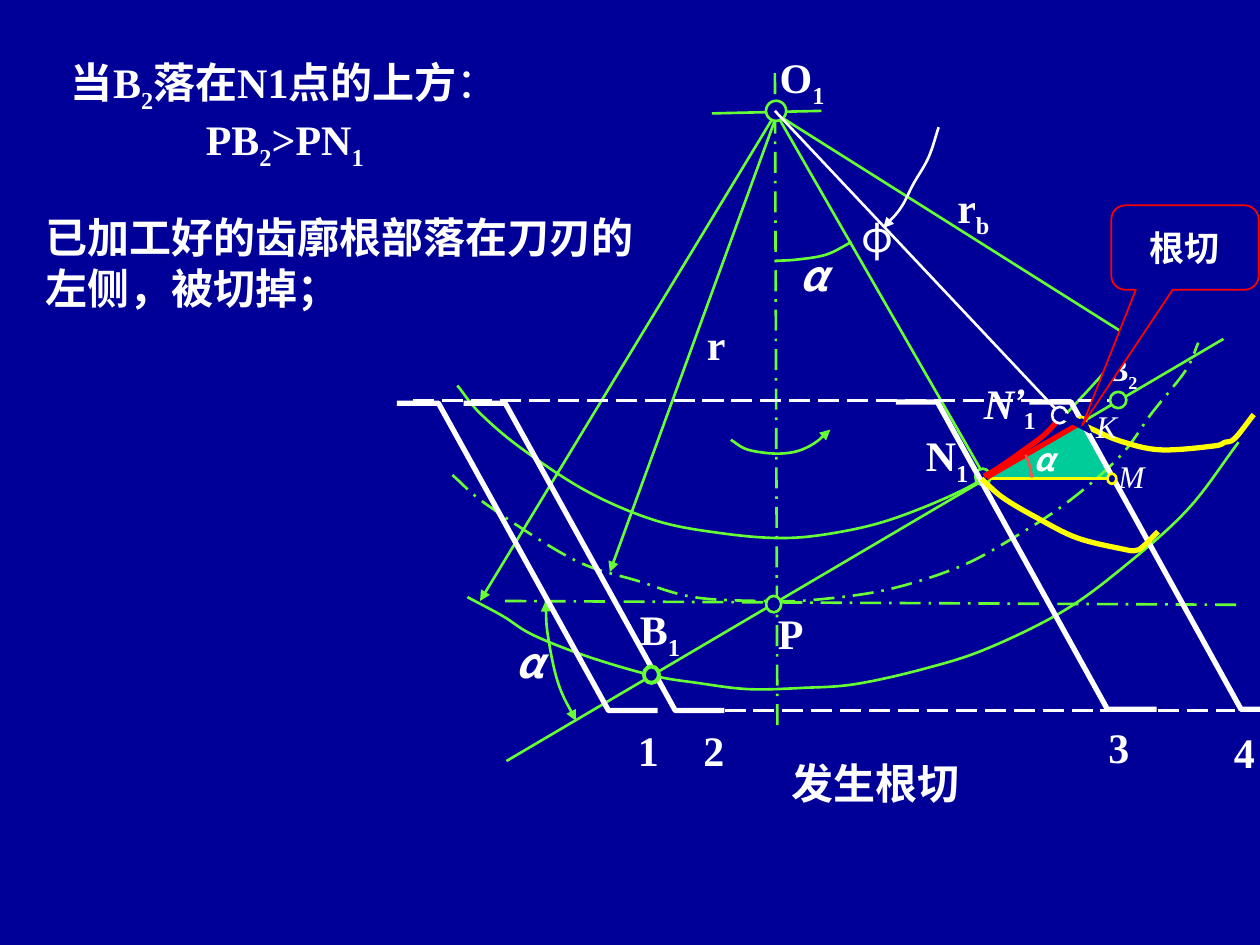
from lxml import etree
from pptx import Presentation
from pptx import util as u
from pptx.dml.color import RGBColor
from pptx.enum import dml, shapes, text
from pptx.oxml.ns import qn

COLORS = {"navy": "000099", "green": "66FF33", "white": "FFFFFF", "yellow": "FFFF00",
          "red": "FF0000", "coral": "FF5050", "teal": "00CC99"}
ROMAN, CJK = "Times New Roman", "Noto Sans CJK SC"
DASH, DASH_DOT = dml.MSO_LINE.LONG_DASH, dml.MSO_LINE.LONG_DASH_DOT


def cm(inches):
    return u.Cm(inches * 2.54)


def rgb(name):
    return RGBColor.from_string(COLORS[name])


class Drawing:
    def __init__(self, prs):
        self.slide = prs.slides.add_slide(prs.slide_layouts[6])
        self.shapes = self.slide.shapes
        self.slide.background.fill.solid()
        self.slide.background.fill.fore_color.rgb = rgb("navy")

    def stroke(self, sp, color, width, dash=None, ends=()):
        sp.line.color.rgb = rgb(color)
        sp.line.width = u.Pt(width)
        if dash:
            sp.line.dash_style = dash
        ln = sp._element.spPr.find(qn("a:ln"))
        for end in ends:
            etree.SubElement(ln, qn(f"a:{end}End")).set("type", "triangle")

    def paint(self, sp, fill):
        sp.shadow.inherit = False
        if fill:
            sp.fill.solid()
            sp.fill.fore_color.rgb = rgb(fill)
        else:
            sp.fill.background()

    def line(self, start, end, color="green", width=1.5, dash=None, ends=()):
        cx = self.shapes.add_connector(shapes.MSO_CONNECTOR.STRAIGHT,
                                       *(cm(v) for v in start + end))
        self.stroke(cx, color, width, dash, ends)
        etree.SubElement(cx._element.spPr, qn("a:effectLst"))

    def outline(self, points, color=None, width=1.5, fill=None, close=False, dash=None, ends=()):
        pts = [(cm(x), cm(y)) for x, y in points]
        fb = self.shapes.build_freeform(*pts[0])
        fb.add_line_segments(pts[1:], close=close)
        sp = fb.convert_to_shape()
        self.paint(sp, fill)
        if color:
            self.stroke(sp, color, width, dash, ends)
        else:
            sp.line.fill.background()
        return sp

    def curve(self, points, color="green", width=1.5, dash=None, ends=()):
        sp = self.outline(points, color, width, dash=dash, ends=ends)
        pts = [(cm(x) - sp.left, cm(y) - sp.top) for x, y in points]
        padded = [pts[0]] + pts + [pts[-1]]
        tangents = [tuple((b - a) / 6 for a, b in zip(before, after))
                    for before, after in zip(padded, padded[2:])]
        tangents[0] = tuple((b - a) / 3 for a, b in zip(pts[0], pts[1]))
        tangents[-1] = tuple((b - a) / 3 for a, b in zip(pts[-2], pts[-1]))
        for i, segment in enumerate(list(sp._element.iter(qn("a:lnTo")))):
            start, end = pts[i], pts[i + 1]
            leave = [a + t for a, t in zip(start, tangents[i])]
            arrive = [a - t for a, t in zip(end, tangents[i + 1])]
            bezier = etree.Element(qn("a:cubicBezTo"))
            for x, y in (leave, arrive, end):
                etree.SubElement(bezier, qn("a:pt"), x=str(round(x)), y=str(round(y)))
            segment.getparent().replace(segment, bezier)

    def blade(self, x, y):
        self.outline([(x, y), (x + 0.33, y), (x + 1.68, y + 2.44), (x + 2.07, y + 2.44)],
                     "white", 3)

    def circle(self, x, y, w, h, color="green", width=1.5):
        sp = self.shapes.add_shape(shapes.MSO_SHAPE.OVAL, cm(x), cm(y), cm(w), cm(h))
        self.paint(sp, "navy")
        self.stroke(sp, color, width)

    def set_text(self, tf, content, size, bold, italic, font, center):
        p = tf.paragraphs[0]
        p.alignment = text.PP_ALIGN.CENTER if center else text.PP_ALIGN.LEFT
        for i, part in enumerate(content.split("_")):
            if not part:
                continue
            r = p.add_run()
            r.text = part
            r.font.name, r.font.size = font, u.Pt(size)
            r.font.bold, r.font.italic = bold, italic
            r.font.color.rgb = rgb("white")
            rpr = r._r.get_or_add_rPr()
            etree.SubElement(rpr, qn("a:ea")).set("typeface", CJK)
            if i % 2:
                rpr.set("baseline", "-25000")
        return p

    def label(self, x, y, w, h, content, size=24, bold=True, italic=False, font=ROMAN,
              center=True, wrap=True, anchor=text.MSO_ANCHOR.MIDDLE):
        tf = self.shapes.add_textbox(cm(x), cm(y), cm(w), cm(h)).text_frame
        tf.word_wrap = wrap
        tf.vertical_anchor = anchor
        return self.set_text(tf, content, size, bold, italic, font, center)

    def callout(self, x, y, w, h, content, adjustments):
        sp = self.shapes.add_shape(shapes.MSO_SHAPE.ROUNDED_RECTANGULAR_CALLOUT,
                                   cm(x), cm(y), cm(w), cm(h))
        for i, value in enumerate(adjustments):
            sp.adjustments[i] = value
        self.paint(sp, "navy")
        self.stroke(sp, "red", 1)
        sp.text_frame.vertical_anchor = text.MSO_ANCHOR.MIDDLE
        self.set_text(sp.text_frame, content, 20, True, False, ROMAN, True)


def draw_gear(d):
    d.outline([(7.83, 3.8), (8.82, 3.8), (8.58, 3.35)], fill="teal", close=True)
    d.line((6.15, 0.58), (6.17, 5.8), dash=DASH_DOT)
    d.line((4.01, 4.77), (9.83, 4.8), dash=DASH_DOT)
    for start, end in [((4.02, 6.04), (9.71, 2.69)), ((5.65, 0.9), (6.52, 0.88)),
                       ((6.16, 0.9), (7.82, 3.79))]:
        d.line(start, end)
    for start, end in [((6.2, 0.93), (8.96, 2.67)), ((6.15, 0.91), (3.81, 4.77)),
                       ((6.17, 0.9), (4.84, 4.54))]:
        d.line(start, end, ends=["tail"])
    d.curve([(6.16, 2.07), (6.33, 2.06), (6.56, 2.02), (6.76, 1.92)])
    pitch_arc = [(3.59, 3.77), (3.87, 4.01), (4.55, 4.44), (5.06, 4.61), (5.51, 4.74),
                 (6.07, 4.77), (6.47, 4.76), (7.04, 4.68), (7.61, 4.5), (8.04, 4.27),
                 (8.48, 3.98), (8.89, 3.62), (9.14, 3.28), (9.41, 2.94), (9.51, 2.72)]
    d.curve(pitch_arc, dash=DASH_DOT)
    base_arc = [(3.63, 3.06), (3.81, 3.28), (4.14, 3.56), (4.66, 3.9), (5.2, 4.13),
                (5.71, 4.23), (6.2, 4.27), (6.62, 4.23), (7.08, 4.12), (7.64, 3.89),
                (8.01, 3.66), (8.3, 3.44), (8.55, 3.19), (8.85, 2.85), (9.01, 2.58)]
    d.curve(base_arc)
    d.curve([(4.33, 4.77), (4.35, 5.05), (4.43, 5.42), (4.57, 5.72)], ends=["head", "tail"])
    for place in [(6.08, 0.8, 0.16, 0.16), (6.08, 4.73, 0.12, 0.13), (7.74, 3.72, 0.12, 0.13)]:
        d.circle(*place)
    tip_arc = [(3.71, 4.74), (3.99, 4.89), (4.23, 5.04), (4.66, 5.21), (5.17, 5.36),
               (5.53, 5.42), (5.94, 5.47), (6.38, 5.46), (6.79, 5.43), (7.33, 5.31),
               (7.83, 5.15), (8.44, 4.85), (8.93, 4.49), (9.43, 4.04), (9.83, 3.51)]
    d.curve(tip_arc)
    d.curve([(5.8, 3.49), (5.91, 3.56), (6.04, 3.59), (6.19, 3.6), (6.33, 3.58),
             (6.46, 3.52), (6.59, 3.41)], ends=["tail"])


def draw_cutter(d):
    for x, y in [(3.15, 3.2), (8.17, 3.19), (3.68, 3.2)]:
        d.blade(x, y)
    d.line((7.86, 3.8), (8.83, 3.8), "yellow")
    d.circle(8.79, 3.76, 0.07, 0.08, "yellow")
    d.circle(8.55, 3.31, 0.07, 0.07, "yellow")
    d.circle(5.11, 5.29, 0.12, 0.13, width=2.25)
    d.line((3.28, 3.18), (8.83, 3.18), "white", dash=DASH)
    d.circle(8.81, 3.11, 0.13, 0.13)
    d.line((5.75, 5.64), (9.8, 5.64), "white", dash=DASH)
    d.blade(7.11, 3.19)
    d.curve([(7.79, 3.8), (7.96, 3.95), (8.23, 4.11), (8.55, 4.27), (8.92, 4.36),
             (9.01, 4.37), (9.07, 4.34), (9.19, 4.22)], "yellow", 3)
    d.curve([(8.43, 3.31), (8.61, 3.38), (8.89, 3.5), (9.21, 3.57), (9.63, 3.54),
             (9.72, 3.51), (9.8, 3.48), (9.95, 3.29)], "yellow", 3)
    d.line((7.83, 3.79), (8.57, 3.36), "red", 3)
    d.curve([(7.81, 3.78), (7.93, 3.71), (8.13, 3.57), (8.29, 3.45), (8.42, 3.31)], "red", 3)
    d.curve([(8.14, 3.61), (8.17, 3.69), (8.19, 3.79)], "coral")
    d.line((6.15, 0.88), (8.4, 3.27), "white")
    d.curve([(7.45, 1.01), (7.37, 1.25), (7.25, 1.46), (7.15, 1.65), (7.01, 1.81)],
            "white", ends=["tail"])
    d.circle(8.35, 3.23, 0.12, 0.13, "white")


def draw_labels(d):
    for x, y, w, h, content in [
            (6.04, 0.36, 0.65, 0.56, "O_1"), (5.97, 4.77, 0.61, 0.5, "P"),
            (7.44, 1.39, 0.57, 0.56, "r_b"), (5.4, 2.48, 0.57, 0.5, "r"),
            (4.84, 5.7, 0.61, 0.5, "1"), (5.36, 5.7, 0.61, 0.5, "2"),
            (8.57, 5.68, 0.62, 0.5, "3"), (9.57, 5.72, 0.61, 0.5, "4"),
            (5.92, 5.96, 2.05, 0.5, "发生根切")]:
        d.label(x, y, w, h, content)
    for x, y, w, h, content in [
            (7.25, 3.36, 0.56, 0.56, "N_1"), (4.98, 4.74, 0.52, 0.56, "B_1"),
            (0.26, 1.63, 5.11, 0.9, "已加工好的齿廓根部落在刀刃的左侧，被切掉；")]:
        d.label(x, y, w, h, content, center=False)
    for x, y, w in [(3.99, 5, 0.5), (6.25, 1.93, 0.43)]:
        d.label(x, y, w, 0.5, "α", italic=True, font=CJK, center=False)
    d.label(8.07, 3.44, 0.43, 0.4, "α", 18, italic=True, font=CJK)
    d.label(6.74, 1.62, 0.4, 0.5, "φ", bold=False, font=CJK, wrap=False)
    d.label(8.77, 3.58, 0.42, 0.4, "M", 18, bold=False, italic=True)
    d.label(8.6, 3.18, 0.32, 0.4, "K", 18, bold=False, italic=True)
    d.label(8.69, 2.73, 0.52, 0.44, "B_2", 18, center=False)
    p = d.label(7.71, 2.94, 0.63, 0.56, "N__’_1", center=False, wrap=False)
    for r in p.runs[:2]:
        r.font.italic = True
    p.runs[1].font.name = "Cambria"
    d.outline([(8.62, 3.36), (8.65, 3.43), (8.44, 3.32), (8.46, 3.29)], "navy",
              fill="navy", close=True)
    d.callout(8.82, 1.63, 1.17, 0.67, "根切", (-0.698, 2.107, 0.167))
    p = d.label(0, 0.4, 4.52, 1.01, "当B_2_落在N1点的上方__： __PB_2_>PN_1",
                anchor=text.MSO_ANCHOR.TOP)
    p.runs[3].font.bold = False


def main():
    prs = Presentation()
    prs.slide_width, prs.slide_height = cm(10), cm(7.5)
    d = Drawing(prs)
    draw_gear(d)
    draw_cutter(d)
    draw_labels(d)
    prs.save("out.pptx")


if __name__ == "__main__":
    main()
